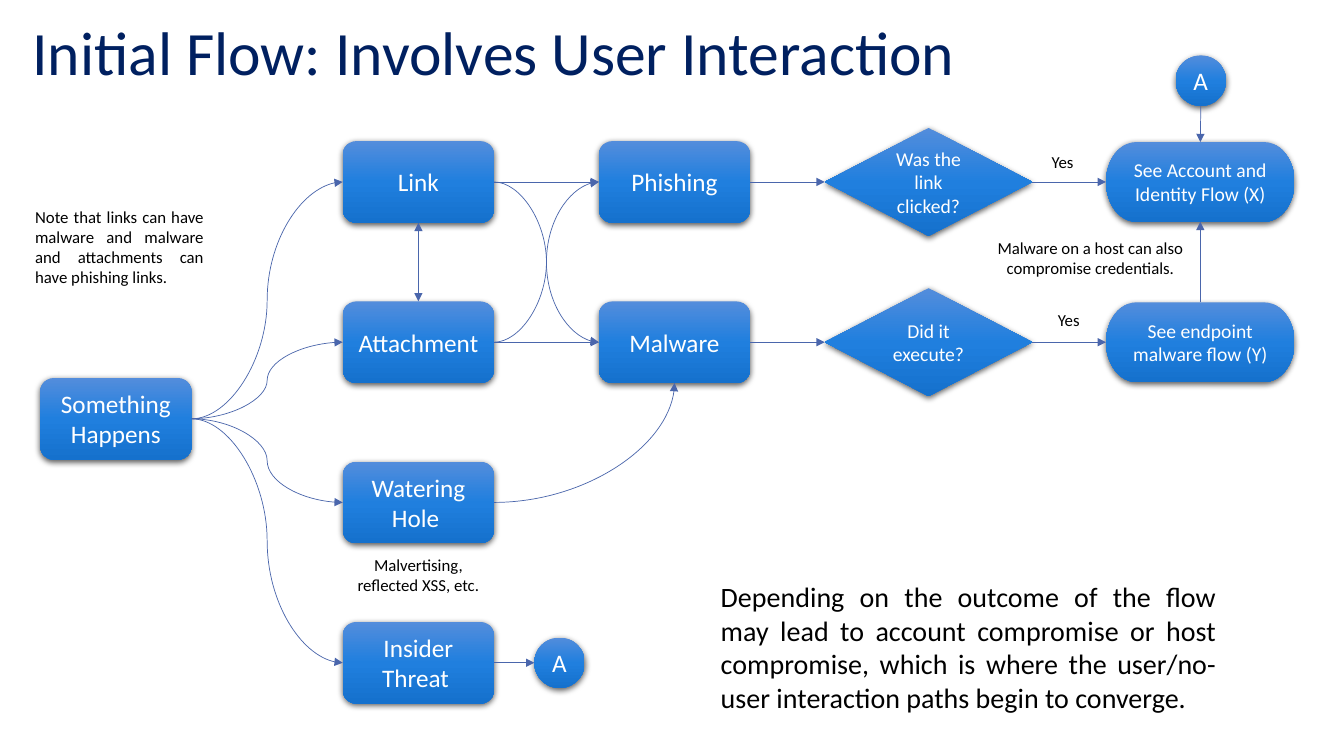
from lxml import etree
from pptx import Presentation
from pptx.dml.color import RGBColor
from pptx.enum.shapes import MSO_CONNECTOR, MSO_SHAPE
from pptx.enum.text import MSO_ANCHOR, MSO_AUTO_SIZE, PP_ALIGN
from pptx.oxml import parse_xml
from pptx.oxml.ns import nsdecls, qn
from pptx.util import Inches, Pt

STRAIGHT, CURVE = MSO_CONNECTOR.STRAIGHT, MSO_CONNECTOR.CURVE
ROUNDED, DIAMOND = MSO_SHAPE.ROUNDED_RECTANGLE, MSO_SHAPE.FLOWCHART_DECISION
TERMINATOR, CIRCLE = MSO_SHAPE.FLOWCHART_TERMINATOR, MSO_SHAPE.OVAL
LEFT, CENTER, JUSTIFY = PP_ALIGN.LEFT, PP_ALIGN.CENTER, PP_ALIGN.JUSTIFY
MIDDLE, TOP_ANCHOR = MSO_ANCHOR.MIDDLE, MSO_ANCHOR.TOP

NAVY = RGBColor(0x00, 0x20, 0x60)
WHITE = RGBColor(0xFF, 0xFF, 0xFF)
BLACK = RGBColor(0x00, 0x00, 0x00)
SLATE = RGBColor(0x4A, 0x66, 0xAC)
NODE_GRADIENT = [
    (0, RGBColor(0x53, 0x8D, 0xDC)),
    (50, RGBColor(0x20, 0x7F, 0xDE)),
    (100, RGBColor(0x15, 0x71, 0xCD)),
]

# Connection sites
TOP, SIDE_LEFT, BOTTOM, SIDE_RIGHT = range(4)

STEP_W, STEP_H = 1.5, 0.81
ROW_PITCH = 1.59


def write(frame, text, size=18, color=WHITE, align=CENTER, anchor=MIDDLE,
          spacing=None):
    frame.word_wrap = True
    frame.vertical_anchor = anchor
    frame.text = text
    paragraph = frame.paragraphs[0]
    paragraph.alignment = align
    paragraph.line_spacing = spacing
    font = paragraph.runs[0].font
    font.name, font.size, font.color.rgb = "Calibri", Pt(size), color


def add_node(slide, kind, box, text, size=18):
    """Add a shaded flow chart node with a soft shadow."""
    node = slide.shapes.add_shape(kind, *map(Inches, box))
    stops = "".join(
        f'<a:gs pos="{pos * 1000}"><a:srgbClr val="{color}"/></a:gs>'
        for pos, color in NODE_GRADIENT)
    properties = node._element.spPr
    properties.append(parse_xml(
        f'<a:gradFill {nsdecls("a")} rotWithShape="1"><a:gsLst>{stops}</a:gsLst>'
        '<a:lin ang="5400000" scaled="0"/></a:gradFill>'))
    node.line.fill.background()
    node.shadow.inherit = False
    properties.find(qn("a:effectLst")).append(parse_xml(
        f'<a:outerShdw {nsdecls("a")} blurRad="{Pt(4.5)}" dist="{Pt(1.5)}" '
        'dir="5400000" algn="ctr" rotWithShape="0"><a:srgbClr val="000000">'
        '<a:alpha val="63000"/></a:srgbClr></a:outerShdw>'))
    write(node.text_frame, text, size)
    return node


def add_centered_node(slide, kind, left, middle, width, height, text, size=18):
    return add_node(slide, kind, (left, middle - height / 2, width, height),
                    text, size)


def add_note(slide, box, text, size=12, align=CENTER):
    note = slide.shapes.add_textbox(*map(Inches, box))
    write(note.text_frame, text, size, BLACK, align, TOP_ANCHOR)


def join(slide, start, end, start_site=SIDE_RIGHT, end_site=SIDE_LEFT,
         kind=STRAIGHT, both_ways=False, quarter=False):
    """Join two nodes with an arrow; quarter makes it a single bend."""
    arrow = slide.shapes.add_connector(kind, 0, 0, 0, 0)
    arrow.begin_connect(start, start_site)
    arrow.end_connect(end, end_site)
    # A circle has eight sites, so each side counts double
    links = arrow._element.nvCxnSpPr.cNvCxnSpPr
    for node, link, site in ((start, links.stCxn, start_site),
                             (end, links.endCxn, end_site)):
        if node.auto_shape_type == CIRCLE:
            link.idx = 2 * site
    arrow.line.color.rgb = SLATE
    arrow.line.width = Pt(0.5)
    line = arrow.line._get_or_add_ln()
    if both_ways:
        etree.SubElement(line, qn("a:headEnd"), type="triangle")
    etree.SubElement(line, qn("a:tailEnd"), type="triangle")
    properties = arrow._element.spPr
    etree.SubElement(properties, qn("a:effectLst"))
    if quarter:
        properties.find(qn("a:prstGeom")).set("prst", "curvedConnector2")


def add_title(slide, box, text):
    title = slide.shapes.title
    title.left, title.top, title.width, title.height = map(Inches, box)
    title.text_frame.auto_size = MSO_AUTO_SIZE.NONE
    write(title.text_frame, text, 44, NAVY, LEFT, spacing=0.9)


def add_step_column(slide, left, top, labels):
    """Stack equal steps downwards, one to each row."""
    return [add_node(slide, ROUNDED, (left, top + i * ROW_PITCH, STEP_W, STEP_H),
                     label)
            for i, label in enumerate(labels)]


def add_outcome_row(slide, left, middle, attack, question, outcome):
    """Lead an attack through its decision to its outcome."""
    decision = add_centered_node(slide, DIAMOND, left, middle, 2.06, 1.07,
                                 question, 14)
    result = add_centered_node(slide, TERMINATOR, left + 2.79, middle, 1.87, 0.79,
                               outcome, 14)
    join(slide, attack, decision)
    join(slide, decision, result)
    return result


def add_flow(slide, left, top):
    first_row = top + STEP_H / 2
    second_row = first_row + ROW_PITCH
    last_row = first_row + 3 * ROW_PITCH

    # Start, entry points and attacks
    start = add_node(slide, ROUNDED, (left, top + 2.35, STEP_W, STEP_H),
                     "Something Happens")
    entries = add_step_column(slide, left + 3, top, [
        "Link", "Attachment ", "Watering Hole ", "Insider Threat "])
    link, attachment, watering_hole, insider = entries
    attacks = add_step_column(slide, left + 5.54, top, ["Phishing", "Malware"])
    phishing, malware = attacks

    for entry in entries:
        join(slide, start, entry, kind=CURVE)
    for entry in (link, attachment):
        for attack in attacks:
            same_row = entry.top == attack.top
            join(slide, entry, attack, kind=STRAIGHT if same_row else CURVE)
    join(slide, link, attachment, BOTTOM, TOP, both_ways=True)
    join(slide, watering_hole, malware, end_site=BOTTOM, kind=CURVE, quarter=True)

    # Decisions and outcomes
    account = add_outcome_row(slide, left + 7.78, first_row, phishing,
                              "Was the link clicked?",
                              "See Account and Identity Flow (X)")
    endpoint = add_outcome_row(slide, left + 7.78, second_row, malware,
                               "Did it execute?",
                               "See endpoint malware flow (Y)")
    join(slide, endpoint, account, TOP, BOTTOM)

    # Jump from the insider threat to the account flow
    jump_out = add_centered_node(slide, CIRCLE, left + 4.9, last_row, 0.5, 0.5, "A")
    jump_in = add_node(slide, CIRCLE, (left + 11.26, top - 0.85, 0.5, 0.5), "A")
    join(slide, insider, jump_out)
    join(slide, jump_in, account, BOTTOM, TOP)


def add_notes(slide, left, top):
    """Place the remarks around the flow that starts at left, top."""
    remarks = [
        (9.71, 0.06, 0.86, 0.3, "Yes", 12, CENTER),
        (9.77, 1.62, 0.86, 0.3, "Yes", 12, CENTER),
        (2.92, 4.05, 1.66, 0.5, "Malvertising, reflected XSS, etc.", 12, CENTER),
        (-0.15, 0.6, 1.87, 0.91,
         "Note that links can have malware and malware and attachments can "
         "have phishing links.", 12, JUSTIFY),
        (9.32, 0.91, 2.19, 0.5,
         "Malware on a host can also compromise credentials.", 12, CENTER),
        (6.65, 4.3, 5.11, 1.45,
         "Depending on the outcome of the flow may lead to account compromise "
         "or host compromise, which is where the user/no-user interaction "
         "paths begin to converge.", 20, JUSTIFY),
    ]
    for x, y, width, height, text, size, align in remarks:
        add_note(slide, (left + x, top + y, width, height), text, size, align)


def main():
    deck = Presentation()
    deck.slide_width, deck.slide_height = Inches(13.33), Inches(7.5)
    slide = deck.slides.add_slide(deck.slide_layouts[5])
    add_title(slide, (0.22, -0.17, 11.5, 1.45),
              "Initial Flow: Involves User Interaction")
    add_flow(slide, 0.4, 1.4)
    add_notes(slide, 0.4, 1.4)
    deck.save("out.pptx")


if __name__ == "__main__":
    main()
